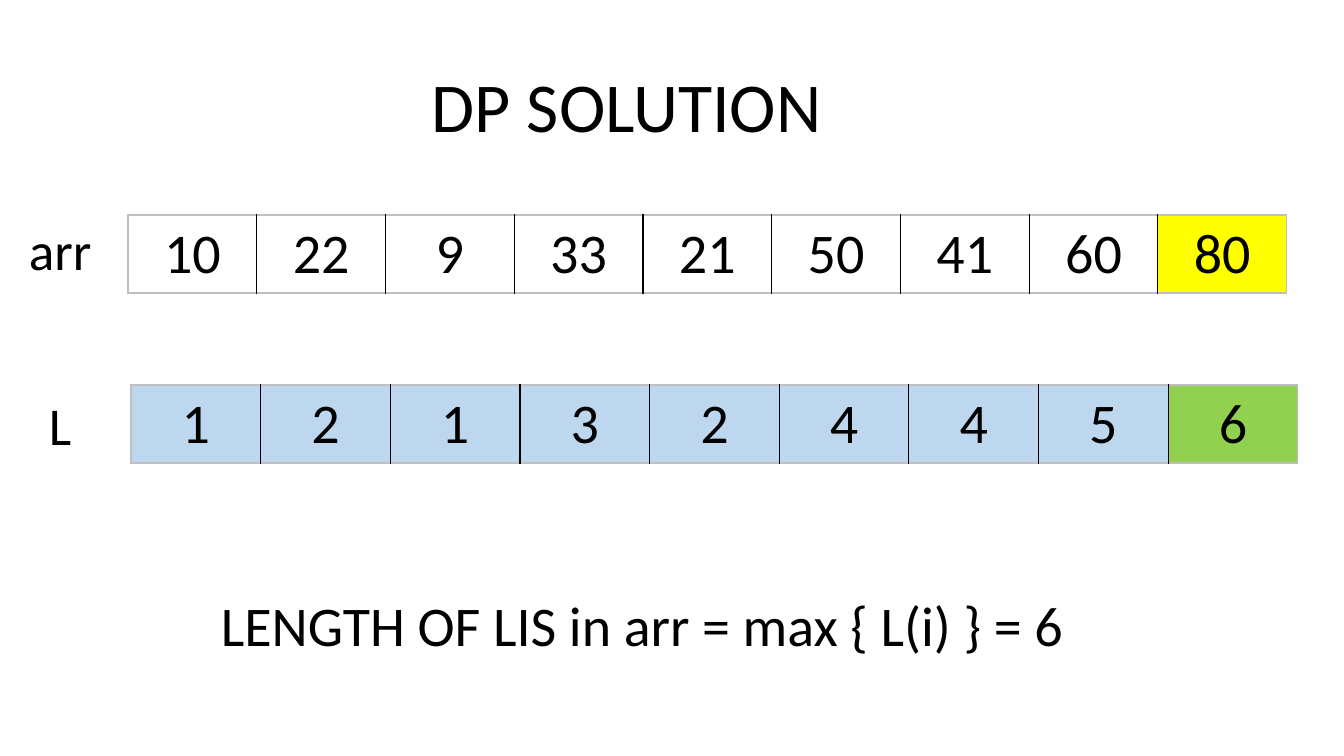
from lxml.etree import SubElement
from pptx import Presentation
from pptx.dml.color import RGBColor
from pptx.enum.text import PP_ALIGN
from pptx.oxml.ns import qn
from pptx.util import Emu, Pt

SCALE = 914400 / 100.8


def px(n):
    return Emu(round(n * SCALE))


def rgb(value):
    return RGBColor.from_string(value)


class Deck:
    font = "Calibri"
    ink = "000000"
    edge = "BFBFBF"

    def __init__(self, width, height):
        self.prs = Presentation()
        self.prs.slide_width, self.prs.slide_height = px(width), px(height)
        self.s = self.prs.slides.add_slide(self.prs.slide_layouts[6])

    def style(self, p, size):
        for r in p.runs:
            r.font.name = self.font
            r.font.size = Pt(size)
            r.font.color.rgb = rgb(self.ink)

    def text(self, x, y, w, h, text, size):
        tf = self.s.shapes.add_textbox(px(x), px(y), px(w), px(h)).text_frame
        tf.word_wrap = True
        tf.text = text
        self.style(tf.paragraphs[0], size)

    def border(self, cell, side, color):
        ln = SubElement(cell._tc.get_or_add_tcPr(), qn(f"a:ln{side}"), w=str(Pt(1)))
        fill = SubElement(ln, qn("a:solidFill"))
        SubElement(fill, qn("a:srgbClr"), val=color)

    def array(self, x, y, w, h, values, fill, last_fill):
        count = len(values)
        table = self.s.shapes.add_table(1, count, px(x), px(y), px(w), px(h)).table
        last = count - 1
        for i, value in enumerate(values):
            table.columns[i].width = px(w / count)
            cell = table.cell(0, i)
            cell.text = str(value)
            p = cell.text_frame.paragraphs[0]
            p.alignment = PP_ALIGN.CENTER
            self.style(p, 40)
            self.border(cell, "L", self.ink if i else self.edge)
            self.border(cell, "R", self.ink if i < last else self.edge)
            self.border(cell, "T", self.edge)
            self.border(cell, "B", self.edge)
            cell.fill.solid()
            cell.fill.fore_color.rgb = rgb(last_fill if i == last else fill)


deck = Deck(1344, 756)
deck.text(422, 58, 463, 95, "DP SOLUTION", 50)
deck.text(19, 212, 86, 75, "arr", 38)
deck.array(128, 215, 1159, 78, [10, 22, 9, 33, 21, 50, 41, 60, 80], "FFFFFF", "FFFF00")
deck.text(39, 387, 45, 75, "L", 38)
deck.array(131, 385, 1167, 78, [1, 2, 1, 3, 2, 4, 4, 5, 6], "BDD7EE", "92D050")
deck.text(211, 586, 973, 78, "LENGTH OF LIS in arr = max { L(i) } = 6", 40)
deck.prs.save("out.pptx")
